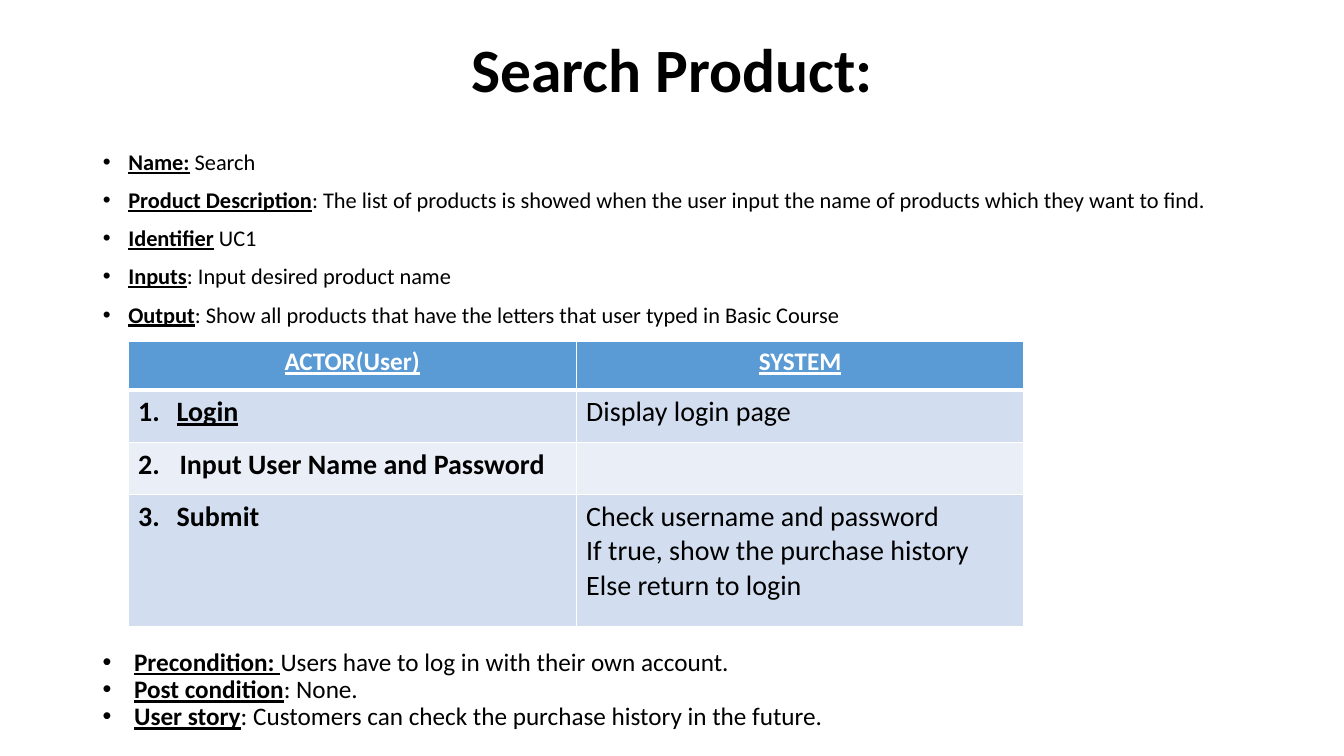
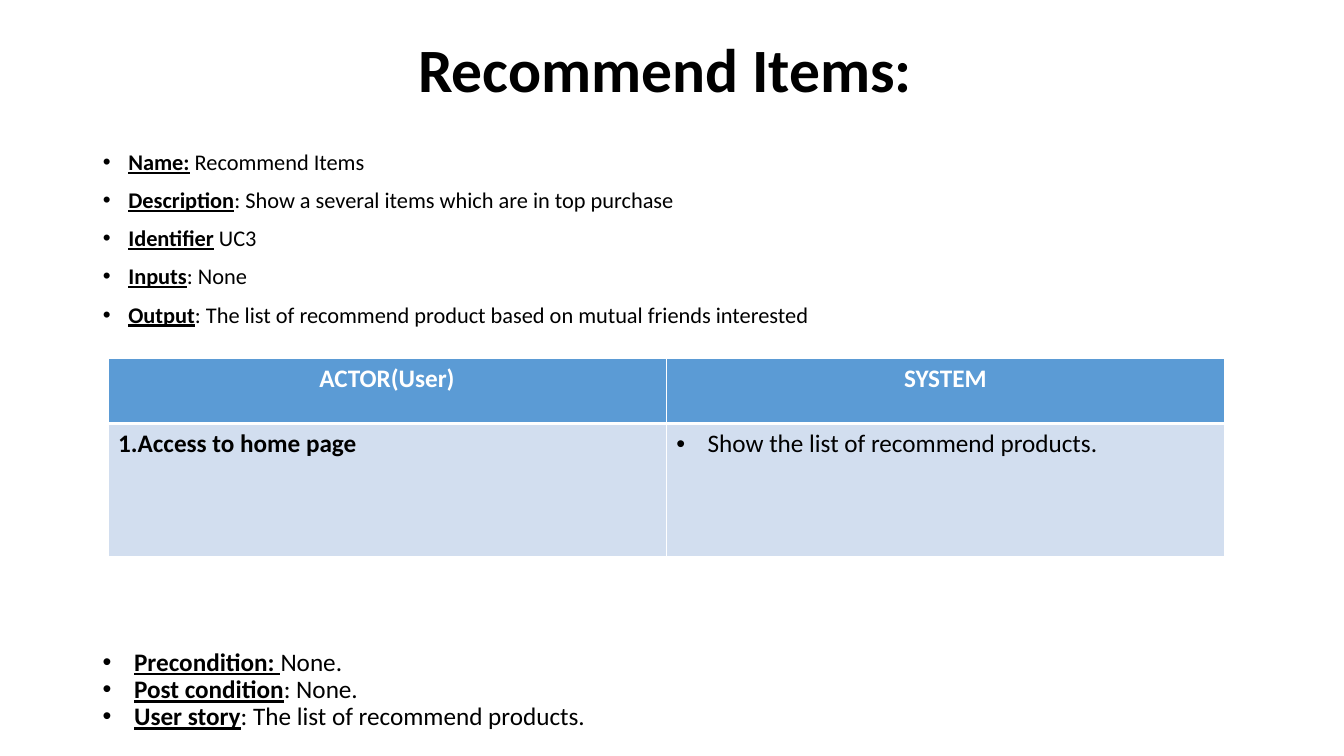
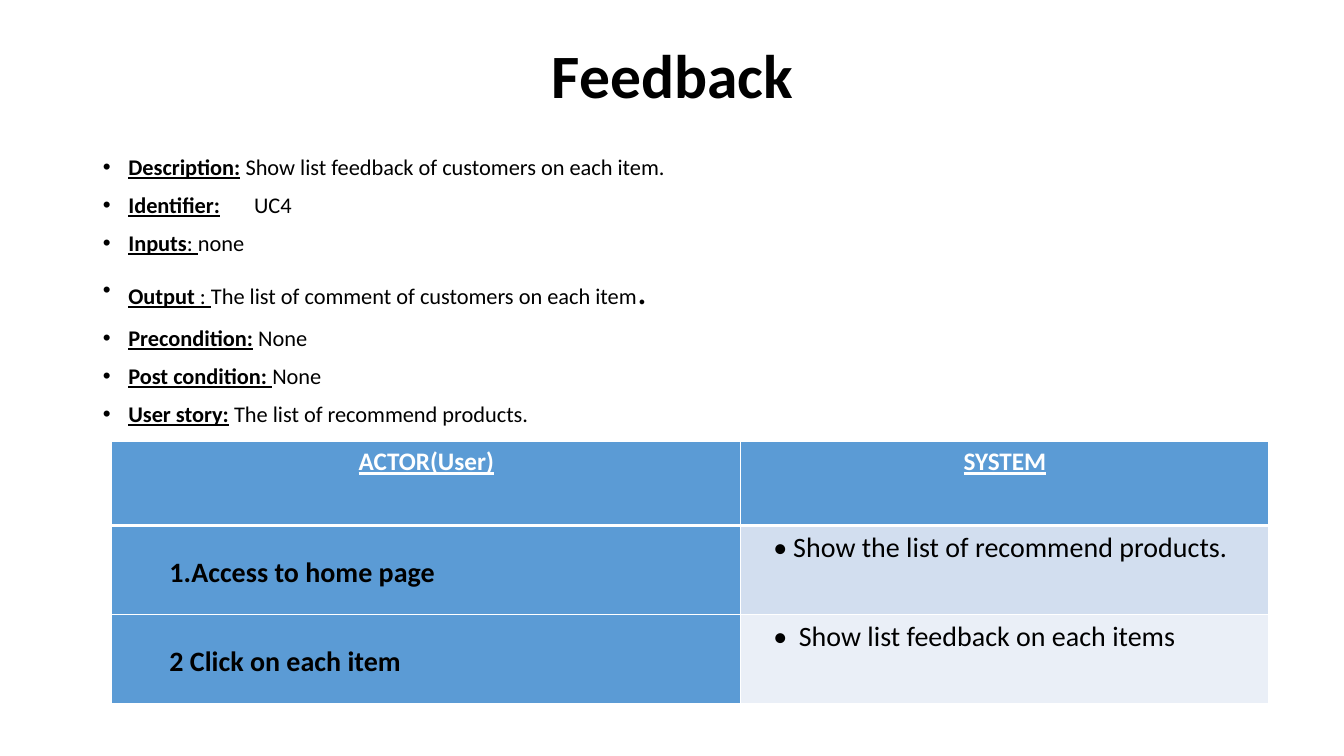
from lxml.etree import SubElement
from pptx import Presentation
from pptx.dml.color import RGBColor
from pptx.enum.text import MSO_ANCHOR, MSO_AUTO_SIZE, PP_ALIGN
from pptx.oxml.ns import qn
from pptx.util import Cm, Pt

BLACK = RGBColor(0x00, 0x00, 0x00)
WHITE = RGBColor(0xFF, 0xFF, 0xFF)
HEADER_BLUE = RGBColor(0x5B, 0x9B, 0xD5)
BAND_DARK = RGBColor(0xD2, 0xDE, 0xEF)
BAND_LIGHT = RGBColor(0xEA, 0xEF, 0xF7)

FONT = "Calibri"
LEFT, WIDTH = Cm(2.34), Cm(29.21)
TITLE_HEIGHT, BODY_HEIGHT = Cm(3.68), Cm(14.83)
NOTES_AREA = Cm(2.34), Cm(15.75), Cm(28.22), Cm(3.3)

SPAN_STYLES = {
    "label": {"bold": True, "underline": True},
    "bold": {"bold": True, "underline": False},
    "underlined": {"bold": False, "underline": True},
    "plain": {"bold": False, "underline": False},
    "large": {"bold": False, "underline": False, "size": Pt(28)},
}

TITLE_LINE = {"alignment": PP_ALIGN.CENTER, "line_spacing": 0.9}
FACT_LINE = {"alignment": PP_ALIGN.LEFT, "line_spacing": 0.9, "space_before": Pt(10)}
NOTE_LINE = {"line_spacing": 0.9, "space_before": Pt(0)}
HEADER_LINE = {"alignment": PP_ALIGN.CENTER}
LOOSE_LINE = {"line_spacing": 1.07}

FACT_BULLET = {"mark": "•", "indent": 0.64, "hang": 0.64}
NOTE_BULLET = {"mark": "•", "indent": 0.79, "hang": 0.79}
LOOSE_MARGINS = {
    "margin_left": Cm(0.18), "margin_top": Cm(0.08),
    "margin_right": Cm(0.2), "margin_bottom": Cm(0),
}


def labelled(label, text):
    return [(label, "label"), (text, "plain")]


def cell_text(*texts, style="plain", size=20, fill=BAND_DARK, bullet=None, line=None, frame=None):
    return {
        "lines": [[(text, style)] for text in texts], "size": size, "fill": fill,
        "bullet": bullet, "line": line or {}, "frame": frame or {},
    }


def numbered(text, number, indent=0.97, style="bold", fill=BAND_DARK):
    bullet = {"start": number, "indent": indent, "hang": indent}
    return cell_text(text, style=style, fill=fill, bullet=bullet)


def loose_step(text):
    return cell_text(
        text, style="bold", fill=HEADER_BLUE, bullet={"indent": 1.27, "hang": 0},
        line=LOOSE_LINE, frame={"vertical_anchor": MSO_ANCHOR.MIDDLE, **LOOSE_MARGINS},
    )


def loose_reply(text, hang, fill):
    bullet = {"mark": "•", "font": FONT, "indent": 0.64 + hang, "hang": hang}
    return cell_text(text, fill=fill, bullet=bullet, line=LOOSE_LINE, frame=LOOSE_MARGINS)


SLIDES = [
    {
        "title": "Search Product:",
        "top": 0,
        "facts": [
            labelled("Name:", " Search"),
            labelled("Product Description", ": The list of products is showed when the user input "
                     "the name of products which they want to find."),
            labelled("Identifier", " UC1"),
            labelled("Inputs", ": Input desired product name"),
            labelled("Output", ": Show all products that have the letters that user typed in Basic Course"),
        ],
        "notes": [
            labelled("Precondition: ", "Users have to log in with their own account."),
            labelled("Post condition", ": None."),
            labelled("User story", ": Customers can check the purchase history in the future."),
        ],
        "table": {
            "corner": (3.23, 8.61),
            "columns": [11.29, 11.29],
            "rows": [1.22, 1.32, 1.32, 3.33],
            "header_style": "label",
            "steps": [
                [numbered("Login", 1, style="label"), cell_text("Display login page")],
                [numbered("Input User Name and Password", 2, indent=1.04, fill=BAND_LIGHT),
                 cell_text(fill=BAND_LIGHT)],
                [numbered("Submit", 3),
                 cell_text("Check username and password", "If true, show the purchase history",
                           "Else return to login")],
            ],
        },
    },
    {
        "title": "Recommend Items: ",
        "top": 0,
        "facts": [
            labelled("Name:", " Recommend Items"),
            labelled("Description", ": Show a several items which are in top purchase"),
            labelled("Identifier", " UC3"),
            labelled("Inputs", ": None"),
            labelled("Output", ": The list of recommend product based on mutual friends interested"),
        ],
        "notes": [
            labelled("Precondition: ", "None."),
            labelled("Post condition", ": None."),
            labelled("User story", ": The list of recommend products."),
        ],
        "table": {
            "corner": (2.72, 9.04),
            "columns": [14.07, 14.07],
            "rows": [1.63, 3.35],
            "header_style": "bold",
            "steps": [
                [cell_text("1.Access to home page", style="bold", size=18),
                 cell_text("Show the list of recommend products.", size=18, bullet=NOTE_BULLET)],
            ],
        },
    },
    {
        "title": "Feedback",
        "top": 0.13,
        "facts": [
            labelled("Description:", " Show list feedback of customers on each item."),
            labelled("Identifier:", "\tUC4"),
            [("Inputs", "label"), (": ", "underlined"), ("none", "plain")],
            [("Output ", "label"), (": ", "underlined"),
             ("The list of comment of customers on each item", "plain"), (".", "large")],
            labelled("Precondition:", " None"),
            labelled("Post condition: ", "None"),
            labelled("User story:", " The list of recommend products."),
        ],
        "notes": [],
        "table": {
            "corner": (2.82, 11.13),
            "columns": [15.85, 13.31],
            "rows": [2.11, 2.24, 2.24],
            "header_style": "label",
            "steps": [
                [loose_step("1.Access to home page"),
                 loose_reply("Show the list of recommend products.", 0.5, BAND_DARK)],
                [loose_step("2 Click on each item"),
                 loose_reply("Show list feedback on each items", 0.64, BAND_LIGHT)],
            ],
        },
    },
]


def apply(target, values):
    for name, value in values.items():
        setattr(target, name, value)


def set_bullet(paragraph, bullet):
    properties = paragraph._p.get_or_add_pPr()
    properties.set("marL", str(Cm(bullet["indent"])))
    properties.set("indent", str(-Cm(bullet["hang"])))
    if "mark" in bullet:
        SubElement(properties, qn("a:buFont"), typeface=bullet.get("font", "Arial"))
        SubElement(properties, qn("a:buChar"), char=bullet["mark"])
    elif "start" in bullet:
        SubElement(properties, qn("a:buFont"), typeface=FONT)
        SubElement(properties, qn("a:buAutoNum"), type="arabicPeriod", startAt=str(bullet["start"]))


def write_lines(frame, lines, size, line_format, bullet=None, color=BLACK):
    for index, spans in enumerate(lines):
        paragraph = frame.add_paragraph() if index else frame.paragraphs[0]
        apply(paragraph, line_format)
        if bullet:
            set_bullet(paragraph, bullet)
        for text, style in spans:
            span = paragraph.add_run()
            span.text = text
            apply(span.font, {"name": FONT, "size": Pt(size), **SPAN_STYLES[style]})
            span.font.color.rgb = color


def set_borders(cell, bottom):
    properties = cell._tc.get_or_add_tcPr()
    for side, width in (("L", 1), ("R", 1), ("T", 1), ("B", bottom)):
        line = SubElement(properties, qn(f"a:ln{side}"), w=str(Pt(width)))
        fill = SubElement(line, qn("a:solidFill"))
        SubElement(fill, qn("a:srgbClr"), val=str(WHITE))


def add_steps_table(page, content):
    columns, rows = content["columns"], content["rows"]
    left, top = content["corner"]
    table = page.shapes.add_table(
        len(rows), len(columns), Cm(left), Cm(top), Cm(sum(columns)), Cm(sum(rows))
    ).table
    for column, width in zip(table.columns, columns):
        column.width = Cm(width)
    for row, height in zip(table.rows, rows):
        row.height = Cm(height)

    header = [
        cell_text(text, style=content["header_style"], size=18, fill=HEADER_BLUE, line=HEADER_LINE)
        for text in ("ACTOR(User)", "SYSTEM")
    ]
    for row_index, row_content in enumerate([header] + content["steps"]):
        is_header = row_index == 0
        for column_index, part in enumerate(row_content):
            cell = table.cell(row_index, column_index)
            set_borders(cell, 3 if is_header else 1)
            cell.fill.solid()
            cell.fill.fore_color.rgb = part["fill"]
            apply(cell, part["frame"])
            write_lines(cell.text_frame, part["lines"], part["size"], part["line"],
                        part["bullet"], WHITE if is_header else BLACK)


def place(box, top, height, anchor):
    apply(box, {"left": LEFT, "top": top, "width": WIDTH, "height": height})
    apply(box.text_frame, {
        "word_wrap": True, "auto_size": MSO_AUTO_SIZE.NONE, "vertical_anchor": anchor,
    })


def add_page(deck, content):
    page = deck.slides.add_slide(deck.slide_layouts[1])
    title, body = page.placeholders
    top = Cm(content["top"])
    place(title, top, TITLE_HEIGHT, MSO_ANCHOR.MIDDLE)
    write_lines(title.text_frame, [[(content["title"], "bold")]], 44, TITLE_LINE)
    place(body, top + TITLE_HEIGHT, BODY_HEIGHT, MSO_ANCHOR.TOP)
    write_lines(body.text_frame, content["facts"], 16, FACT_LINE, FACT_BULLET)
    add_steps_table(page, content["table"])
    if content["notes"]:
        frame = page.shapes.add_textbox(*NOTES_AREA).text_frame
        apply(frame, {"word_wrap": True, "vertical_anchor": MSO_ANCHOR.MIDDLE})
        write_lines(frame, content["notes"], 18, NOTE_LINE, NOTE_BULLET)


def main():
    deck = Presentation()
    apply(deck, {"slide_width": Cm(33.87), "slide_height": Cm(19.05)})
    for content in SLIDES:
        add_page(deck, content)
    deck.save("out.pptx")


if __name__ == "__main__":
    main()
